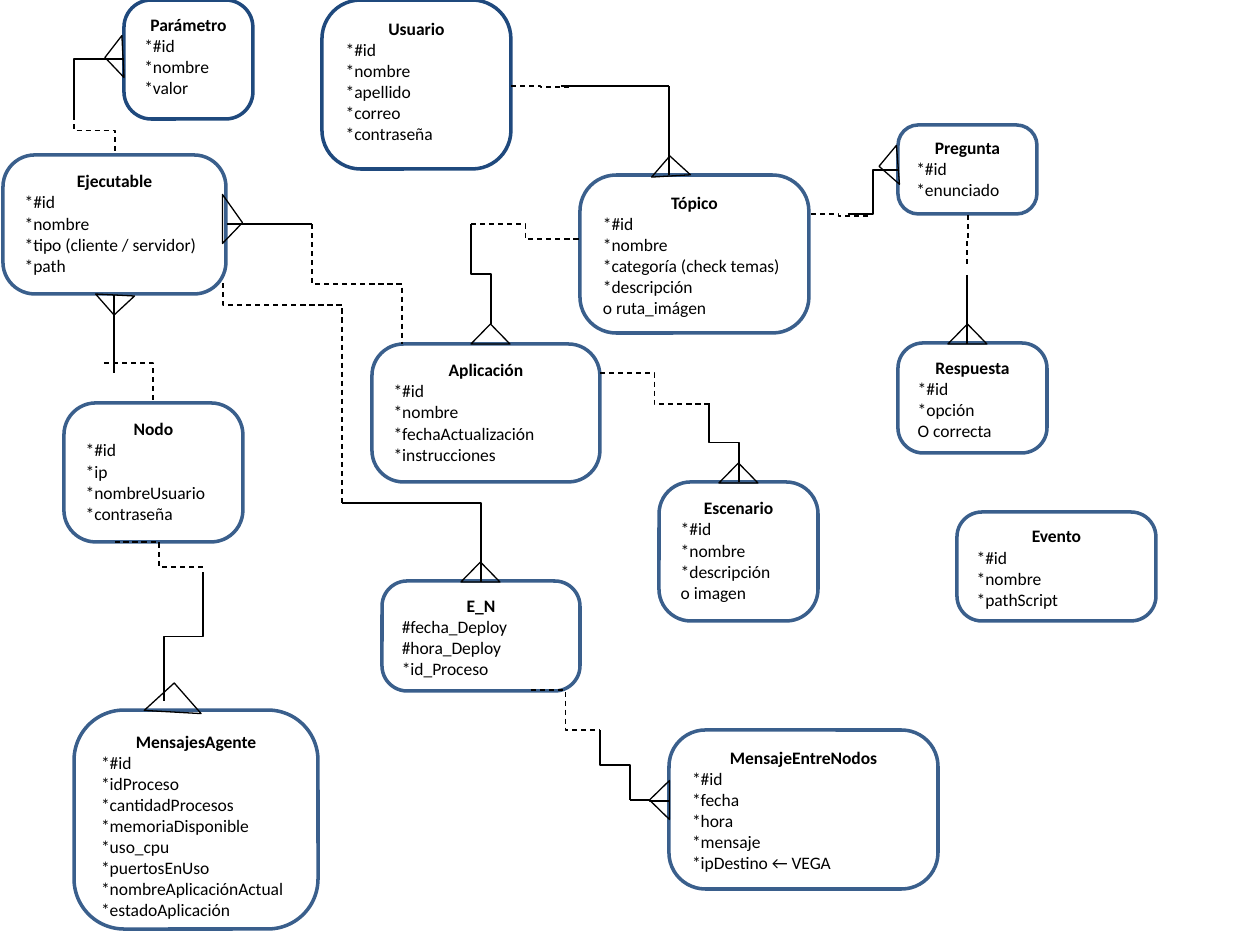
from pptx import Presentation
from pptx.dml.color import RGBColor
from pptx.enum.dml import MSO_LINE_DASH_STYLE as Dash
from pptx.enum.shapes import MSO_CONNECTOR as Link, MSO_SHAPE as Form
from pptx.enum.text import MSO_ANCHOR as Anchor, PP_ALIGN as Align
from pptx.oxml.ns import qn
from pptx.util import Pt
from lxml import etree

SCALE = 914400 / 126


def px(n):
    return round(n * SCALE)


def color(code):
    return RGBColor.from_string(code)


def write(para, text, size=10, font="Calibri", ink="000000", bold=False, align=Align.LEFT):
    para.alignment = align
    run = para.add_run()
    run.text = text
    run.font.size = Pt(size)
    run.font.name = font
    run.font.bold = bold
    run.font.color.rgb = color(ink)


class Diagram:
    ink, paper, edge, dark = "000000", "FFFFFF", "3A5F8C", "1F497D"
    thin, thick = 0.75, 2

    def __init__(self, slide):
        self.shapes = slide.shapes

    def pen(self, item, ink, width):
        item.line.color.rgb = color(ink)
        item.line.width = Pt(width)

    def table(self, title, area, fields, edge=edge):
        """Entity box: centred title and one line per field."""
        box = self.shapes.add_shape(Form.ROUNDED_RECTANGLE, *map(px, area))
        box.shadow.inherit = False
        box.adjustments[0] = 0.229
        box.fill.solid()
        box.fill.fore_color.rgb = color(self.paper)
        self.pen(box, edge, self.thick)
        frame = box.text_frame
        frame.word_wrap = True
        frame.vertical_anchor = Anchor.TOP
        write(frame.paragraphs[0], title, bold=True, align=Align.CENTER)
        for field in fields:
            write(frame.add_paragraph(), field)

    def foot(self, x, y, w=39, h=20, turn=0, tip=0.5):
        """Crow's foot, a triangle without fill."""
        mark = self.shapes.add_shape(Form.ISOSCELES_TRIANGLE, px(x), px(y), px(w), px(h))
        mark.shadow.inherit = False
        mark.adjustments[0] = tip
        mark.rotation = turn
        mark.fill.background()
        self.pen(mark, self.ink, self.thin)

    def wire(self, kind, x1, y1, x2, y2, dash=False, mid=0.5):
        """Kinds: line; h or v for a step that starts that way; h2 or v2 for one corner."""
        link = Link.STRAIGHT if kind == "line" else Link.ELBOW
        wire = self.shapes.add_connector(link, px(x1), px(y1), px(x2), px(y2))
        self.pen(wire, self.ink, self.thin)
        if dash:
            wire.line.dash_style = Dash.DASH
        props = wire._element.spPr
        etree.SubElement(props, qn("a:effectLst"))
        geom = props.find(qn("a:prstGeom"))
        if kind.endswith("2"):
            geom.set("prst", "bentConnector2")
        if mid != 0.5:
            guides = geom.find(qn("a:avLst"))
            etree.SubElement(guides, qn("a:gd"), name="adj1", fmla=f"val {round(mid * 100000)}")
        if kind.startswith("v"):
            self.stand(wire, props.find(qn("a:xfrm")), x1, y1, x2, y2)

    def stand(self, wire, frame, x1, y1, x2, y2):
        """Turn an elbow so that it starts vertically."""
        dx, dy = x2 - x1, y2 - y1
        same = dx * dy > 0
        wide, high = abs(dy), abs(dx)
        wire.left, wire.top = px((x1 + x2 - wide) / 2), px((y1 + y2 - high) / 2)
        wire.width, wire.height = px(wide), px(high)
        frame.set("rot", str((270 if same else 90) * 60000))
        frame.set("flipH", str(int((dy > 0) == same)))
        frame.set("flipV", str(int((dx < 0) == same)))


deck = Presentation()
deck.slide_width, deck.slide_height = px(1260), px(945)
art = Diagram(deck.slides.add_slide(deck.slide_layouts[6]))

# Entities
for title, area, fields in [
    ("Ejecutable", (3, 155, 223, 139),
     ["*#id", "*nombre", "*tipo (cliente / servidor)", "*path"]),
    ("Aplicación", (372, 344, 228, 138),
     ["*#id", "*nombre", "*fechaActualización", "*instrucciones"]),
    ("Tópico", (580, 175, 229, 158),
     ["*#id", "*nombre", "*categoría (check temas)", "*descripción", "o ruta_imágen"]),
    ("Pregunta", (898, 125, 139, 89), ["*#id", "*enunciado"]),
    ("Respuesta", (898, 343, 149, 110), ["*#id", "*opción", "O correcta"]),
    ("Escenario", (659, 482, 159, 139), ["*#id", "*nombre", "*descripción", "o imagen"]),
    ("Nodo", (64, 403, 179, 139), ["*#id", "*ip", "*nombreUsuario", "*contraseña"]),
    ("Evento", (957, 512, 199, 109), ["*#id", "*nombre", "*pathScript"]),
    ("E_N", (382, 581, 198, 110), ["#fecha_Deploy", "#hora_Deploy", "*id_Proceso"]),
    ("MensajesAgente", (74, 710, 244, 219),
     ["*#id", "*idProceso", "*cantidadProcesos", "*memoriaDisponible", "*uso_cpu",
      "*puertosEnUso", "*nombreAplicaciónActual", "*estadoAplicación"]),
    ("MensajeEntreNodos", (669, 730, 269, 159),
     ["*#id", "*fecha", "*hora", "*mensaje", "*ipDestino ← VEGA"]),
]:
    art.table(title, area, fields)
art.table("Parámetro", (124, 0, 129, 119), ["*#id", "*nombre", "*valor"], art.dark)
art.table("Usuario", (322, 0, 189, 169),
          ["*#id", "*nombre", "*apellido", "*correo", "*contraseña"], art.dark)

# Optional halves of the relations
for wire in [
    ("v", 312, 224, 402, 344), ("h", 868, 216, 809, 214), ("v", 968, 215, 967, 265),
    ("h", 471, 224, 580, 239), ("h", 600, 373, 709, 404), ("h", 511, 86, 570, 87),
    ("h", 203, 567, 115, 542), ("h2", 104, 363, 153, 403), ("h", 531, 690, 600, 730),
    ("v", 74, 106, 115, 155),
]:
    art.wire(*wire, dash=True)
art.wire("v", 223, 283, 342, 503, dash=True, mid=0.1)

# Required halves of the relations
for wire in [
    ("line", 227, 224, 312, 224), ("h", 848, 214, 898, 170), ("line", 967, 275, 967, 344),
    ("v", 491, 324, 471, 224), ("v", 739, 482, 709, 403), ("line", 561, 86, 669, 86),
    ("line", 669, 86, 669, 175), ("line", 114, 295, 114, 373), ("v2", 481, 582, 342, 503),
    ("v", 164, 701, 203, 572), ("v", 630, 800, 600, 730), ("h", 669, 801, 630, 800),
    ("h2", 124, 59, 74, 116),
]:
    art.wire(*wire)

# Crow's feet
for x, y in [(948, 324), (471, 324), (719, 463), (461, 562)]:
    art.foot(x, y)
art.foot(869, 156, h=19, turn=265.6)
art.foot(651, 156, turn=356.6)
art.foot(95, 295, turn=182.9)
art.foot(145, 683, 57, 29, 3.2)
art.foot(640, 790, turn=270)
art.foot(208, 209, 49, 20, 90, 0.576)
art.foot(93, 48, 42, 18, 267.1)

deck.save("out.pptx")
